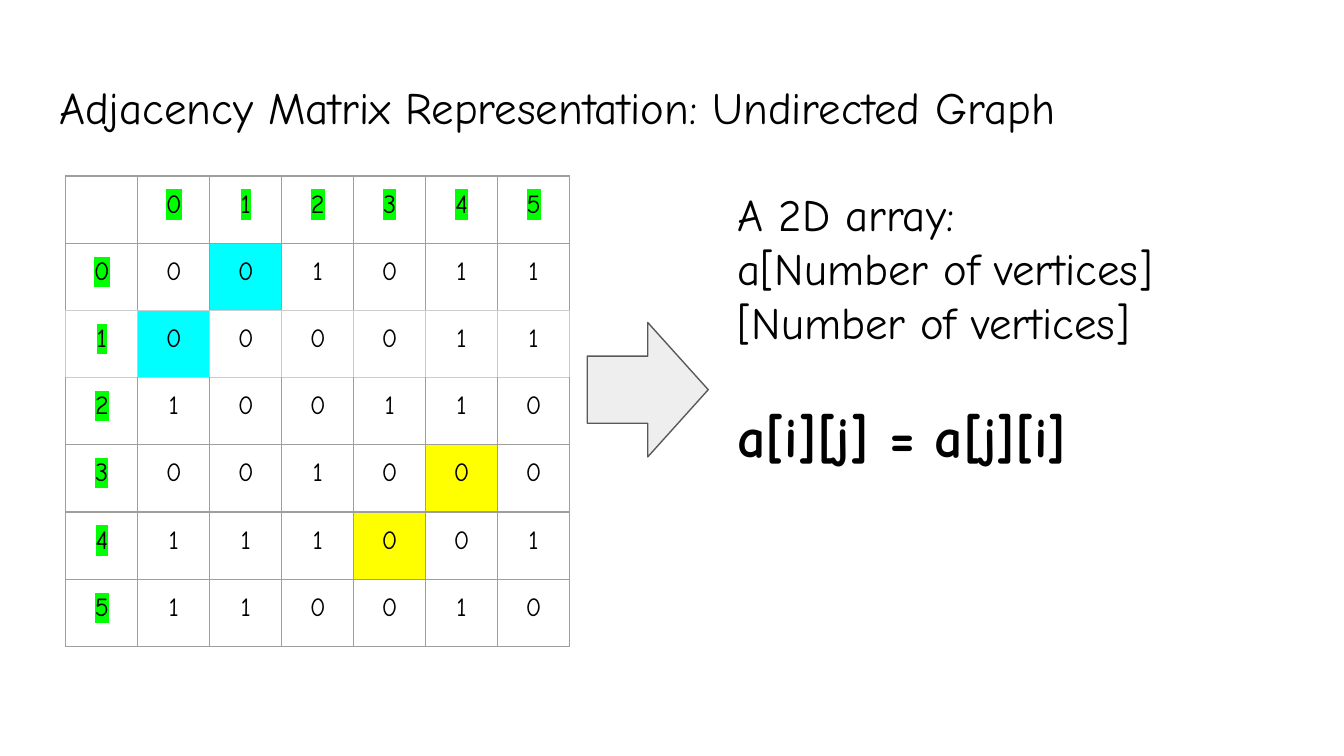
from lxml.etree import SubElement
from pptx import Presentation
from pptx.dml.color import RGBColor
from pptx.enum.shapes import MSO_SHAPE
from pptx.enum.text import MSO_ANCHOR, PP_ALIGN
from pptx.oxml.ns import qn
from pptx.util import Inches, Pt

BLACK = RGBColor(0, 0, 0)
GRAY = RGBColor(0x9E, 0x9E, 0x9E)
LIGHT = RGBColor(0xCC, 0xCC, 0xCC)
PALE = RGBColor(0xEE, 0xEE, 0xEE)
DARK = RGBColor(0x59, 0x59, 0x59)
GREEN = RGBColor(0, 0xFF, 0)
CYAN = RGBColor(0, 0xFF, 0xFF)
YELLOW = RGBColor(0xFF, 0xFF, 0)

MATRIX = ["001011", "000011", "100110", "001000", "111001", "110010"]
FILLS = {(1, 2): CYAN, (2, 1): CYAN, (4, 5): YELLOW, (5, 4): YELLOW}
EDGES = {1: "B", 2: "LRTB", 3: "T"}


class Deck:
    face = "Comic Neue"
    inset = Inches(0.1)

    def __init__(self, show):
        self.slide = show.slides.add_slide(show.slide_layouts[5])

    def font(self, para, size, bold=False):
        font = para.font
        font.name = self.face
        font.size = Pt(size)
        font.bold = bold
        font.color.rgb = BLACK

    def pad(self, item):
        item.margin_left = item.margin_right = self.inset
        item.margin_top = item.margin_bottom = self.inset

    def title(self, text, *box):
        shape = self.slide.shapes.title
        shape.left, shape.top, shape.width, shape.height = map(Inches, box)
        frame = shape.text_frame
        self.pad(frame)
        frame.vertical_anchor = MSO_ANCHOR.TOP
        frame.text = text
        para = frame.paragraphs[0]
        para.alignment = PP_ALIGN.LEFT
        self.font(para, 24)

    def arrow(self, *box):
        shape = self.slide.shapes.add_shape(MSO_SHAPE.RIGHT_ARROW, *map(Inches, box))
        shape.shadow.inherit = False
        shape.fill.solid()
        shape.fill.fore_color.rgb = PALE
        shape.line.color.rgb = DARK
        shape.line.width = Pt(0.75)

    def text(self, lines, rule, *box):
        frame = self.slide.shapes.add_textbox(*map(Inches, box)).text_frame
        frame.word_wrap = True
        self.pad(frame)
        frame.text = "\n".join([*lines, rule])
        *paras, last = frame.paragraphs
        for para in paras:
            self.font(para, 24)
        last.space_before = Pt(28.7)
        self.font(last, 30, True)

    def border(self, cell, light):
        props = cell._tc.get_or_add_tcPr()
        for side in "LRTB":
            line = SubElement(props, qn("a:ln" + side), w=str(Pt(0.75)))
            fill = SubElement(line, qn("a:solidFill"))
            color = LIGHT if side in light else GRAY
            SubElement(fill, qn("a:srgbClr"), val=str(color))

    def mark(self, run):
        props = run.font._element
        SubElement(SubElement(props, qn("a:highlight")), qn("a:srgbClr"), val=str(GREEN))

    def cell(self, cell, text, row, col):
        self.border(cell, EDGES.get(row, ""))
        self.pad(cell)
        cell.vertical_anchor = MSO_ANCHOR.TOP
        if (row, col) in FILLS:
            cell.fill.solid()
            cell.fill.fore_color.rgb = FILLS[row, col]
        else:
            cell.fill.background()
        para = cell.text_frame.paragraphs[0]
        para.alignment = PP_ALIGN.CENTER
        self.font(para, 14)
        if text:
            run = para.add_run()
            run.text = text
            if row == 0 or col == 0:
                self.mark(run)

    def table(self, rows, *box):
        count = len(rows)
        table = self.slide.shapes.add_table(count, count, *map(Inches, box)).table
        table.first_row = table.horz_banding = False
        for row, values in enumerate(rows):
            for col, value in enumerate(values):
                self.cell(table.cell(row, col), value, row, col)


def main():
    show = Presentation()
    show.slide_width = Inches(10)
    show.slide_height = Inches(10 * 9 / 16)
    deck = Deck(show)
    deck.title("Adjacency Matrix Representation: Undirected Graph", 0.34, 0.49, 9.32, 0.63)
    deck.arrow(4.37, 2.4, 0.9, 1)
    lines = ["A 2D array:", "a[Number of vertices]", "[Number of vertices]"]
    deck.text(lines, "a[i][j] = a[j][i]", 5.39, 1.29, 4, 2.46)
    head = ["", *map(str, range(len(MATRIX)))]
    rows = [head] + [[str(i), *line] for i, line in enumerate(MATRIX)]
    deck.table(rows, 0.49, 1.31, 3.75, 3.5)
    show.save("out.pptx")


if __name__ == "__main__":
    main()
